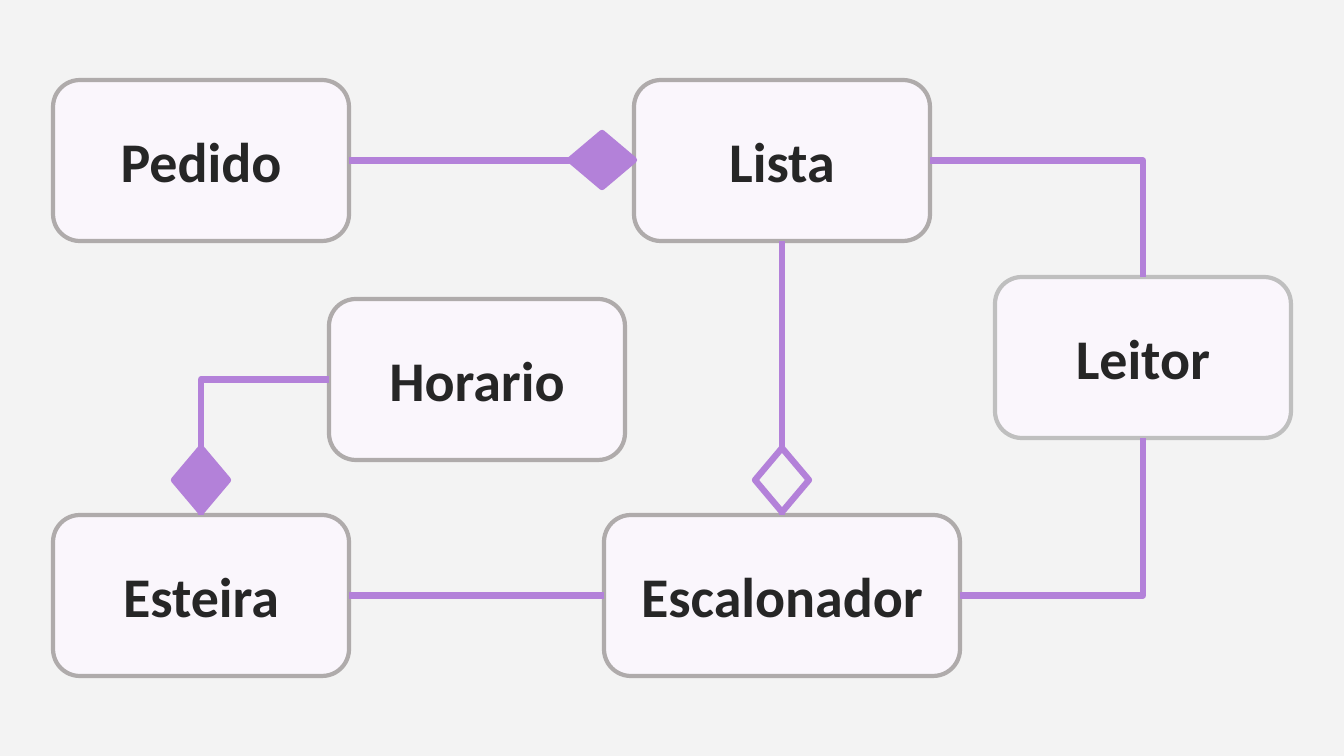
"""Class diagram of an order scheduling system."""
from typing import NamedTuple

from lxml.etree import SubElement
from pptx import Presentation
from pptx.dml.color import RGBColor
from pptx.enum.shapes import MSO_CONNECTOR as Route, MSO_SHAPE as Preset
from pptx.enum.text import MSO_ANCHOR as Anchor, PP_ALIGN as Align
from pptx.oxml.ns import qn
from pptx.shapes.autoshape import Shape
from pptx.shapes.shapetree import SlideShapes
from pptx.util import Emu, Pt

EMU_PER_PIXEL = 914400 / 100.8
COLORS = {
    "background": "F3F3F3",
    "class": "FAF6FC",
    "border": "AFABAB",
    "light_border": "BFBFBF",
    "relation": "B381D9",
    "text": "262626",
}
TOP, LEFT, BOTTOM, RIGHT = range(4)
CLASS_HEIGHT = 161
DIAMOND_WIDTH, DIAMOND_HEIGHT = 54, 64


class ClassBox(NamedTuple):
    name: str
    left: int
    top: int
    width: int = 296
    border: str = "border"


class Relation(NamedTuple):
    source: str
    source_side: int
    target: str
    target_side: int
    bent: bool = False


class Diamond(NamedTuple):
    center_x: int
    center_y: int
    rotation: int
    fill: str


CLASSES = [
    ClassBox("Pedido", 53, 80),
    ClassBox("Lista", 634, 80),
    ClassBox("Leitor", 995, 277, border="light_border"),
    ClassBox("Escalonador", 604, 515, width=356),
    ClassBox("Esteira", 53, 515),
    ClassBox("Horario", 329, 299),
]
RELATIONS = [
    Relation("Pedido", RIGHT, "Lista", LEFT),
    Relation("Lista", BOTTOM, "Escalonador", TOP),
    Relation("Esteira", RIGHT, "Escalonador", LEFT),
    Relation("Lista", RIGHT, "Leitor", TOP, bent=True),
    Relation("Escalonador", RIGHT, "Leitor", BOTTOM, bent=True),
    Relation("Horario", LEFT, "Esteira", TOP, bent=True),
]
DIAMONDS = [
    Diamond(782, 480, 0, "background"),
    Diamond(602, 160, 90, "relation"),
    Diamond(201, 480, 180, "relation"),
]


def px(pixels: float) -> Emu:
    """Convert pixels to EMU."""
    return Emu(round(pixels * EMU_PER_PIXEL))


def color(name: str) -> RGBColor:
    """Look up a named colour."""
    return RGBColor.from_string(COLORS[name])


def add_outlined(shapes: SlideShapes, preset: Preset, left: float, top: float,
                 width: int, height: int, fill: str, line: str, weight: float) -> Shape:
    """Add a filled and outlined preset shape."""
    shape = shapes.add_shape(preset, px(left), px(top), px(width), px(height))
    shape.shadow.inherit = False
    shape.fill.solid()
    shape.fill.fore_color.rgb = color(fill)
    shape.line.color.rgb = color(line)
    shape.line.width = Pt(weight)
    return shape


def add_class(shapes: SlideShapes, box: ClassBox) -> Shape:
    """Add a rounded box with the class name."""
    shape = add_outlined(shapes, Preset.ROUNDED_RECTANGLE, box.left, box.top,
                         box.width, CLASS_HEIGHT, "class", box.border, 3)
    frame = shape.text_frame
    frame.text = box.name
    frame.vertical_anchor = Anchor.MIDDLE
    paragraph = frame.paragraphs[0]
    paragraph.alignment = Align.CENTER
    font = paragraph.runs[0].font
    font.name, font.size, font.bold = "Calibri", Pt(40), True
    font.color.rgb = color("text")
    return shape


def add_relation(shapes: SlideShapes, relation: Relation, boxes: dict[str, Shape]) -> None:
    """Connect two classes, bending once where asked."""
    route = Route.ELBOW if relation.bent else Route.STRAIGHT
    connector = shapes.add_connector(route, 0, 0, 0, 0)
    connector.begin_connect(boxes[relation.source], relation.source_side)
    connector.end_connect(boxes[relation.target], relation.target_side)
    connector.line.color.rgb = color("relation")
    connector.line.width = Pt(4.5)
    properties = connector._element.spPr
    SubElement(properties, qn("a:effectLst"))
    if relation.bent:
        properties.find(qn("a:prstGeom")).set("prst", "bentConnector2")


def add_diamond(shapes: SlideShapes, diamond: Diamond) -> None:
    """Add an aggregation or composition diamond."""
    shape = add_outlined(shapes, Preset.DIAMOND,
                         diamond.center_x - DIAMOND_WIDTH / 2,
                         diamond.center_y - DIAMOND_HEIGHT / 2,
                         DIAMOND_WIDTH, DIAMOND_HEIGHT, diamond.fill, "relation", 4.5)
    shape.rotation = diamond.rotation


def main() -> None:
    """Build and save the class diagram."""
    presentation = Presentation()
    presentation.slide_width, presentation.slide_height = px(1344), px(756)
    slide = presentation.slides.add_slide(presentation.slide_layouts[6])
    slide.background.fill.solid()
    slide.background.fill.fore_color.rgb = color("background")
    boxes = {box.name: add_class(slide.shapes, box) for box in CLASSES}
    for relation in RELATIONS:
        add_relation(slide.shapes, relation, boxes)
    for diamond in DIAMONDS:
        add_diamond(slide.shapes, diamond)
    presentation.save("out.pptx")


main()
